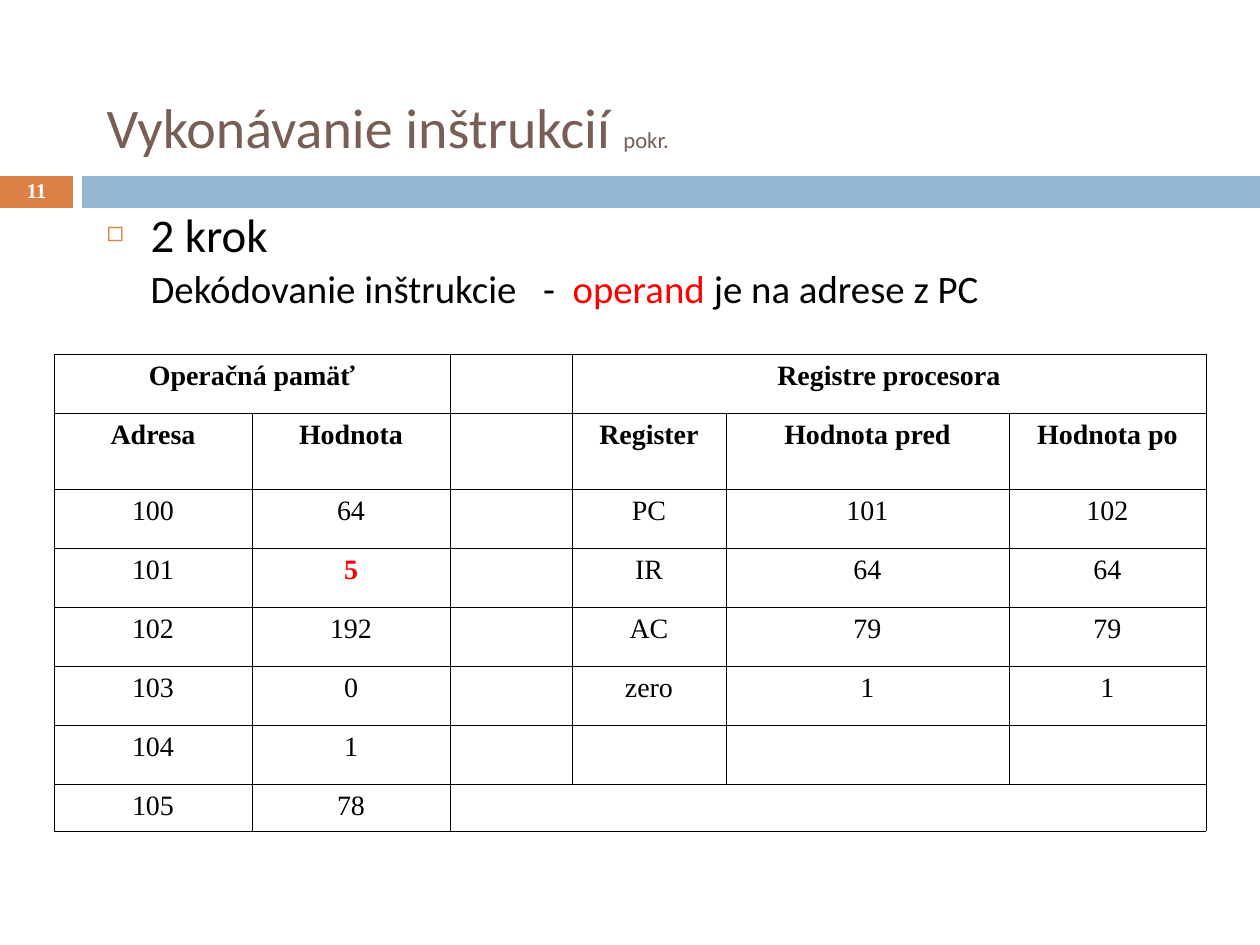
import pptx
import pptx.util
import pptx.dml.color
import pptx.enum.shapes
import pptx.enum.text
import pptx.oxml
import pptx.oxml.ns

RGB = pptx.dml.color.RGBColor.from_string
ALIGN = pptx.enum.text.PP_ALIGN
MIDDLE = pptx.enum.text.MSO_ANCHOR.MIDDLE
PX_PER_INCH = 126


class Theme:
    sans, serif = "Calibri", "Times New Roman"
    title, text, accent = "775F55", "000000", "FF0000"
    orange, blue, white = "DD8047", "94B6D2", "FFFFFF"
    title_size, suffix_size = 32, 13
    step_size, detail_size = 26.8, 22.2
    cell_size, number_size = 16, 12
    border = 0.45


def px(n):
    return pptx.util.Emu(round(n * 914400 / PX_PER_INCH))


def place(s, box):
    for name, value in zip(("left", "top", "width", "height"), box):
        setattr(s, name, px(value))


def apply(target, **values):
    for name, value in values.items():
        setattr(target, name, value)


def style(font, face, size, color, bold=False):
    apply(font, name=face, size=pptx.util.Pt(size), bold=bold)
    font.color.rgb = RGB(color)


def add_run(p, text, face, size, color, bold=False, tracking=0):
    """Add a styled run; tracking is extra letter spacing in points."""
    r = p.add_run()
    r.text = text
    style(r.font, face, size, color, bold)
    if tracking:
        r.font._element.set("spc", str(tracking * 100))


def add_xml(parent, tag, inner="", **attrs):
    listed = "".join(f' {k}="{v}"' for k, v in attrs.items())
    ns = pptx.oxml.ns.nsdecls("a")
    parent.append(pptx.oxml.parse_xml(f"<a:{tag} {ns}{listed}>{inner}</a:{tag}>"))


def set_frame(tf, anchor):
    apply(tf, word_wrap=True, vertical_anchor=anchor,
          auto_size=pptx.enum.text.MSO_AUTO_SIZE.NONE)


# Title with its small suffix
def add_title(slide, box):
    s = slide.shapes.title
    place(s, box)
    set_frame(s.text_frame, MIDDLE)
    p = s.text_frame.paragraphs[0]
    p.alignment = ALIGN.LEFT
    add_run(p, "Vykonávanie inštrukcií ", Theme.sans, Theme.title_size, Theme.title)
    add_run(p, "pokr.", Theme.sans, Theme.suffix_size, Theme.title)


# Band under the title: orange number block and blue bar
def add_band(slide, box, number):
    x, y, w, h = box
    block, gap = 73, 9
    parts = ((x, block, Theme.orange), (x + block + gap, w - block - gap, Theme.blue))
    for left, width, color in parts:
        s = slide.shapes.add_shape(pptx.enum.shapes.MSO_SHAPE.RECTANGLE,
                                   px(left), px(y), px(width), px(h))
        s.shadow.inherit = False
        s.fill.solid()
        s.fill.fore_color.rgb = RGB(color)
        s.line.fill.background()
    s = slide.shapes.add_textbox(px(x), px(y - 1), px(block), px(h + 2))
    set_frame(s.text_frame, MIDDLE)
    p = s.text_frame.paragraphs[0]
    apply(p, alignment=ALIGN.CENTER, line_spacing=0.8)
    add_run(p, number, Theme.serif, Theme.number_size, Theme.white, True)


# Step heading and its explanation
def add_step(slide, box):
    s = slide.placeholders[1]
    place(s, box)
    tf = s.text_frame
    set_frame(tf, pptx.enum.text.MSO_ANCHOR.TOP)
    step, detail = tf.paragraphs[0], tf.add_paragraph()
    hang = px(44)
    for p, indent, before in ((step, -hang, 0), (detail, 0, 7)):
        pPr = p._p.get_or_add_pPr()
        pPr.set("marL", str(hang))
        pPr.set("indent", str(indent))
        apply(p, alignment=ALIGN.LEFT, line_spacing=0.8,
              space_before=pptx.util.Pt(before))
    pPr = step._p.pPr
    add_xml(pPr, "buClr", f'<a:srgbClr val="{Theme.orange}"/>')
    add_xml(pPr, "buSzPct", val=60000)
    add_xml(pPr, "buChar", char="◻")
    add_xml(detail._p.pPr, "buNone")
    add_run(step, "2 krok", Theme.sans, Theme.step_size, Theme.text)
    for text, color, tracking in (("Dekódovanie inštrukcie", Theme.text, 0),
                                  (" ", Theme.text, 10),
                                  ("-", Theme.text, 0),
                                  (" ", Theme.text, 5),
                                  ("operand", Theme.accent, 0),
                                  (" je na adrese z PC", Theme.text, 0)):
        add_run(detail, text, Theme.sans, Theme.detail_size, color, tracking=tracking)


def format_cell(cell, text, color, bold):
    tcPr = cell._tc.get_or_add_tcPr()
    for side in "LRTB":
        add_xml(tcPr, f"ln{side}",
                f'<a:solidFill><a:srgbClr val="{Theme.text}"/></a:solidFill>',
                w=pptx.util.Pt(Theme.border))
    cell.fill.background()
    p = cell.text_frame.paragraphs[0]
    p.alignment = ALIGN.CENTER
    if text:
        add_run(p, text, Theme.serif, Theme.cell_size, color, bold)
    else:
        style(p.font, Theme.serif, Theme.cell_size, color)


# Memory contents beside the processor registers
def add_memory_table(slide, box):
    rows = [
        ["Operačná pamäť", "", "", "Registre procesora", "", ""],
        ["Adresa", "Hodnota", "", "Register", "Hodnota pred", "Hodnota po"],
        ["100", "64", "", "PC", "101", "102"],
        ["101", "5", "", "IR", "64", "64"],
        ["102", "192", "", "AC", "79", "79"],
        ["103", "0", "", "zero", "1", "1"],
        ["104", "1", "", "", "", ""],
        ["105", "78", "", "", "", ""],
    ]
    widths = [198, 198, 122, 154, 283, 197]
    heights = [59, 76] + [59] * 5 + [47]
    header_rows, operand = 2, (3, 1)
    frame = slide.shapes.add_table(len(rows), len(widths), *map(px, box))
    table = frame.table
    apply(table, first_row=False, horz_banding=False)
    for column, width in zip(table.columns, widths):
        column.width = px(width)
    for row, height in zip(table.rows, heights):
        row.height = px(height)
    for i, values in enumerate(rows):
        for j, text in enumerate(values):
            marked = (i, j) == operand
            format_cell(table.cell(i, j), text,
                        Theme.accent if marked else Theme.text,
                        marked or i < header_rows)
    for row, first, last in ((0, 0, 1), (0, 3, 5), (7, 2, 5)):
        table.cell(row, first).merge(table.cell(row, last))


def main():
    prs = pptx.Presentation()
    apply(prs, slide_width=px(1260), slide_height=px(945))
    slide = prs.slides.add_slide(prs.slide_layouts[1])
    add_band(slide, (0, 176, 1260, 32), "11")
    add_title(slide, (94, 84, 1071, 85))
    add_step(slide, (94, 210, 1071, 126))
    add_memory_table(slide, (54, 354, 1152, 477))
    prs.save("out.pptx")


if __name__ == "__main__":
    main()
